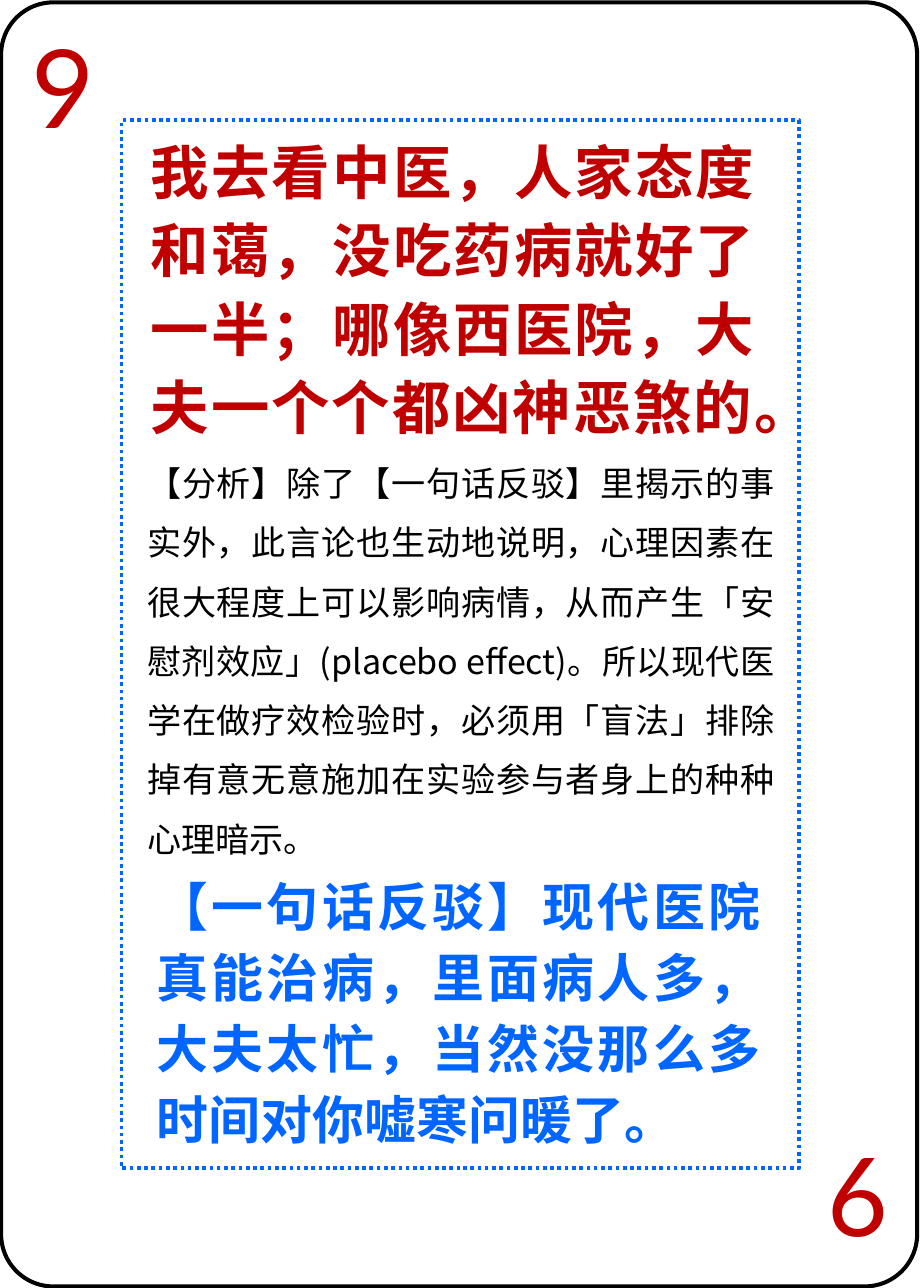
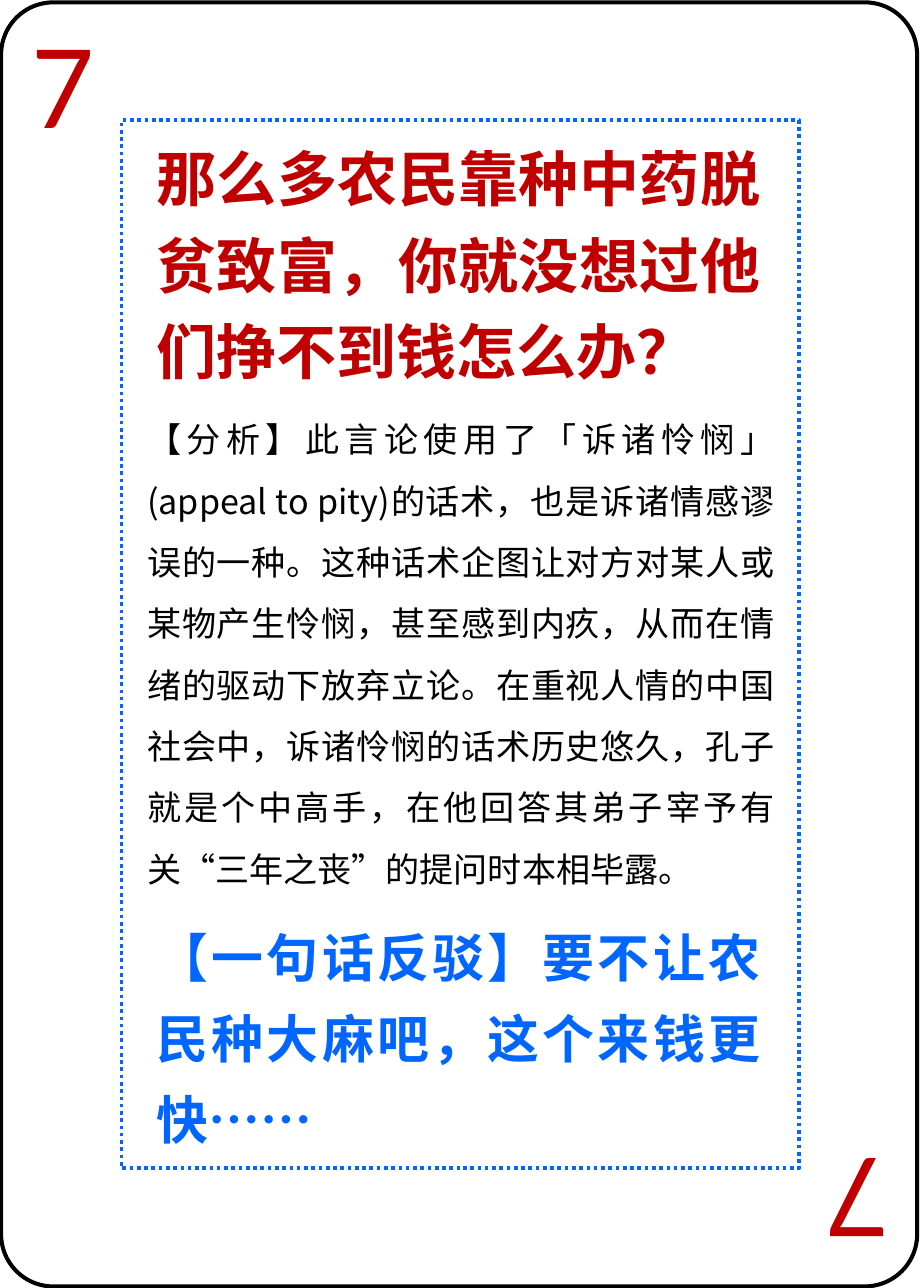
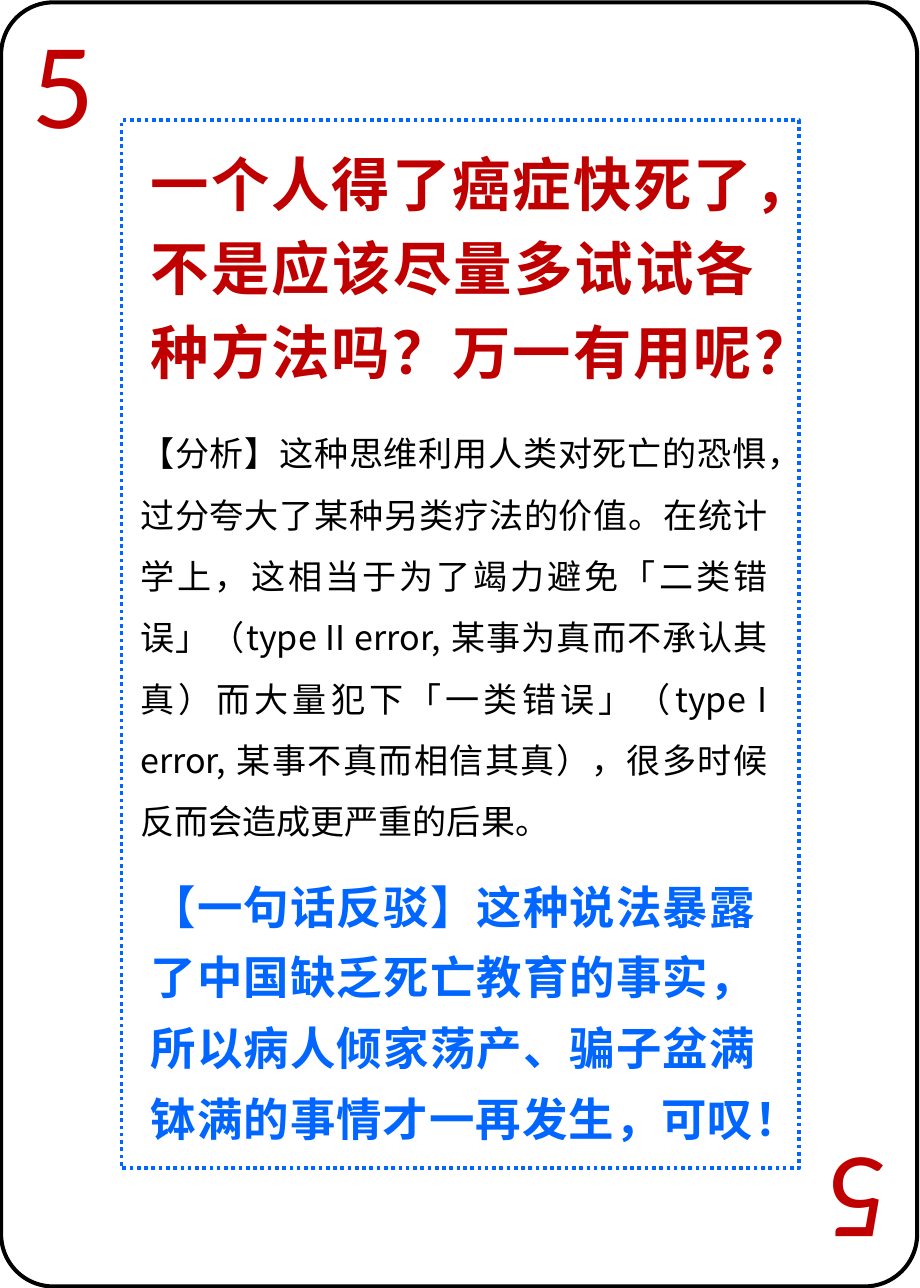
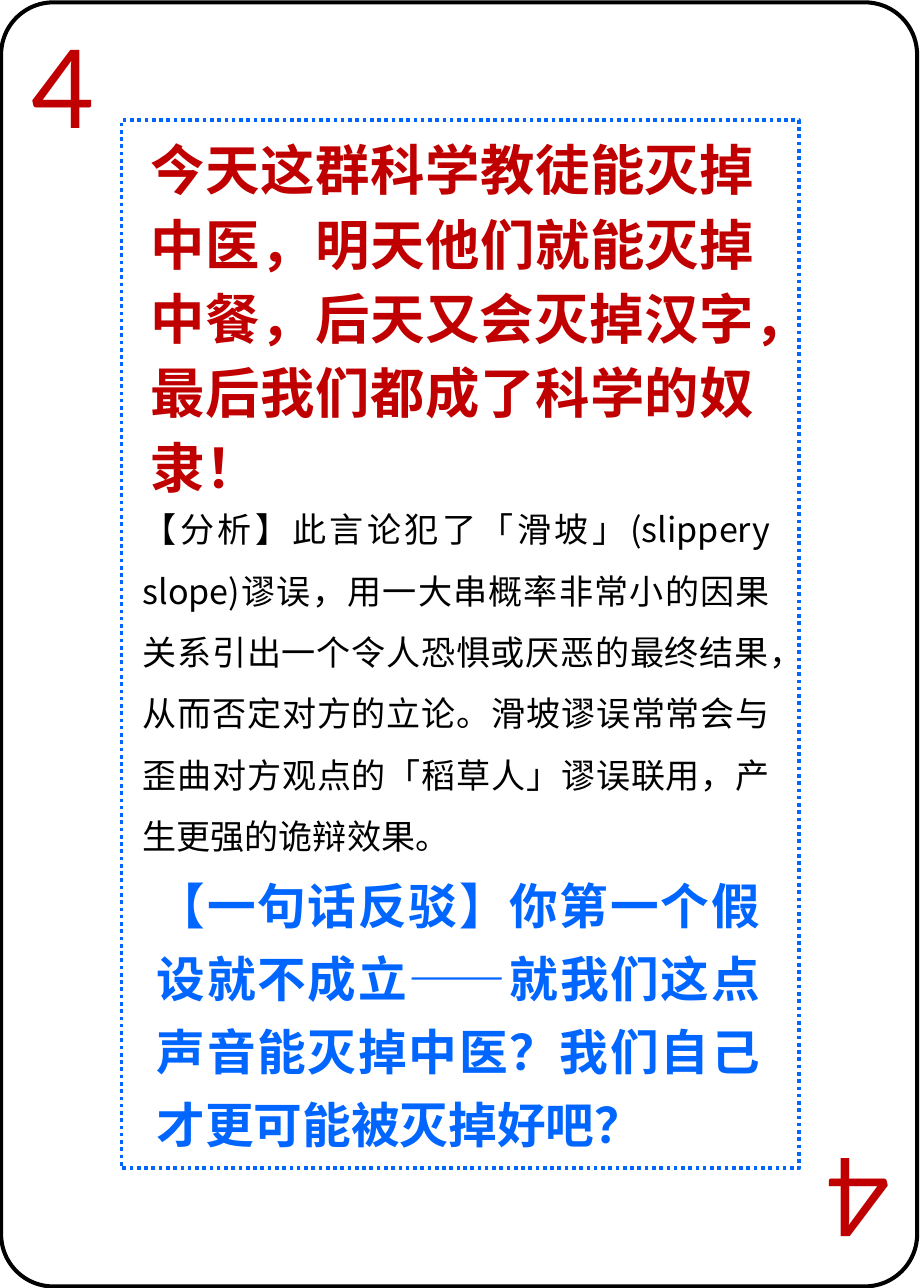
"""Build four debate playing cards, each with a claim, an analysis and a rebuttal."""

from dataclasses import dataclass

from lxml.etree import SubElement
from pptx import Presentation
from pptx.dml.color import RGBColor
from pptx.enum.dml import MSO_LINE
from pptx.enum.lang import MSO_LANGUAGE_ID
from pptx.enum.shapes import MSO_SHAPE
from pptx.enum.text import MSO_ANCHOR, MSO_AUTO_SIZE, PP_ALIGN
from pptx.oxml.ns import qn
from pptx.util import Pt

RED = RGBColor(0xC0, 0x00, 0x00)
BLUE = RGBColor(0x00, 0x66, 0xFF)
BLACK = RGBColor(0x00, 0x00, 0x00)

CHINESE_FONT = "Noto Sans CJK SC"
DIGIT_FONT = "Lato"
DIGIT_SIZE = 67.2
BODY_SIZE = 21
HEADING_WIDTH = 386.64
ANALYSIS_WIDTH = 401.04
SLIDE_WIDTH, SLIDE_HEIGHT = 566.93, 793.7
TWO_CONTENT_LAYOUT = 3


@dataclass(frozen=True)
class Box:
    """Position and size in points."""

    left: float
    top: float
    width: float
    height: float


@dataclass(frozen=True)
class Passage:
    """A justified text with its place, size and line spacing."""

    text: str
    left: float
    top: float
    height: float
    size: float
    spacing: float


@dataclass(frozen=True)
class Card:
    """The contents of one playing card."""

    digit: str
    claim: Passage
    analysis: Passage
    rebuttal: Passage


CARD_EDGE = Box(0.72, 1.44, 564.48, 791.28)
TEXT_FRAME = Box(74.88, 74.16, 417.6, 645.84)
TOP_DIGIT = Box(12.24, 8.64, 54.72, 88.56)
BOTTOM_DIGIT = Box(500.4, 696.24, 54.72, 88.56)

CARDS = [
    Card(
        "9",
        Passage(
            "我去看中医，人家态度和蔼，没吃药病就好了一半；哪像西医院，大夫一个个都凶神恶煞的。",
            85.68, 74.88, 202.32, 36, 1.12,
        ),
        Passage(
            "【分析】除了【一句话反驳】里揭示的事实外，此言论也生动地说明，心理因素在很大程度上"
            "可以影响病情，从而产生「安慰剂效应」(placebo effect)。所以现代医学在做疗效检验时，"
            "必须用「盲法」排除掉有意无意施加在实验参与者身上的种种心理暗示。",
            83.52, 270, 261.36, BODY_SIZE, 1.45,
        ),
        Passage(
            "【一句话反驳】现代医院真能治病，里面病人多，大夫太忙，当然没那么多时间对你嘘寒问暖了。",
            89.28, 529.92, 180.72, 32, 1.14,
        ),
    ),
    Card(
        "7",
        Passage(
            "那么多农民靠种中药脱贫致富，你就没想过他们挣不到钱怎么办？",
            89.28, 74.88, 164.16, 37, 1.2,
        ),
        Passage(
            "【分析】此言论使用了「诉诸怜悯」(appeal to pity)的话术，也是诉诸情感谬误的一种。"
            "这种话术企图让对方对某人或某物产生怜悯，甚至感到内疚，从而在情绪的驱动下放弃立论。"
            "在重视人情的中国社会中，诉诸怜悯的话术历史悠久，孔子就是个中高手，"
            "在他回答其弟子宰予有关“三年之丧”的提问时本相毕露。",
            83.52, 241.92, 308.16, BODY_SIZE, 1.5,
        ),
        Passage(
            "【一句话反驳】要不让农民种大麻吧，这个来钱更快……",
            89.28, 555.12, 153.36, 32, 1.3,
        ),
    ),
    Card(
        "5",
        Passage(
            "一个人得了癌症快死了，不是应该尽量多试试各种方法吗？万一有用呢？",
            85.68, 79.2, 159.84, 36, 1.2,
        ),
        Passage(
            "【分析】这种思维利用人类对死亡的恐惧，过分夸大了某种另类疗法的价值。在统计学上，"
            "这相当于为了竭力避免「二类错误」（type II error, 某事为真而不承认其真）"
            "而大量犯下「一类错误」（type I error, 某事不真而相信其真），"
            "很多时候反而会造成更严重的后果。",
            79.2, 250.56, 270, BODY_SIZE, 1.5,
        ),
        Passage(
            "【一句话反驳】这种说法暴露了中国缺乏死亡教育的事实，所以病人倾家荡产、"
            "骗子盆满钵满的事情才一再发生，可叹！",
            85.68, 527.76, 179.28, 28, 1.3,
        ),
    ),
    Card(
        "4",
        Passage(
            "今天这群科学教徒能灭掉中医，明天他们就能灭掉中餐，后天又会灭掉汉字，"
            "最后我们都成了科学的奴隶！",
            85.68, 74.88, 238.32, 33.5, 1.14,
        ),
        Passage(
            "【分析】此言论犯了「滑坡」(slippery slope)谬误，用一大串概率非常小的因果关系"
            "引出一个令人恐惧或厌恶的最终结果，从而否定对方的立论。"
            "滑坡谬误常常会与歪曲对方观点的「稻草人」谬误联用，产生更强的诡辩效果。",
            80.64, 297.36, 231.84, BODY_SIZE, 1.5,
        ),
        Passage(
            "【一句话反驳】你第一个假设就不成立——就我们这点声音能灭掉中医？"
            "我们自己才更可能被灭掉好吧？",
            89.28, 527.04, 191.52, 30, 1.25,
        ),
    ),
]


def bounds(box: Box) -> tuple:
    """Return the four lengths of a box."""
    return Pt(box.left), Pt(box.top), Pt(box.width), Pt(box.height)


def fill_passage(shape, passage: Passage, width: float, color: RGBColor, bold: bool) -> None:
    """Move a placeholder and give it a justified passage without bullets."""
    box = Box(passage.left, passage.top, width, passage.height)
    shape.left, shape.top, shape.width, shape.height = bounds(box)
    text_frame = shape.text_frame
    text_frame.text = passage.text
    text_frame.word_wrap = True
    text_frame.auto_size = MSO_AUTO_SIZE.SHAPE_TO_FIT_TEXT
    text_frame.vertical_anchor = MSO_ANCHOR.TOP
    paragraph = text_frame.paragraphs[0]
    paragraph.alignment = PP_ALIGN.JUSTIFY
    paragraph.line_spacing = passage.spacing
    paragraph.space_before = Pt(0)
    properties = paragraph._p.get_or_add_pPr()
    properties.set("marL", "0")
    properties.set("indent", "0")
    SubElement(properties, qn("a:buNone"))
    run = paragraph.runs[0]
    run.font.size = Pt(passage.size)
    run.font.bold = bold
    run.font.color.rgb = color
    run.font.name = CHINESE_FONT
    run.font.language_id = MSO_LANGUAGE_ID.SIMPLIFIED_CHINESE
    SubElement(run._r.get_or_add_rPr(), qn("a:ea"), typeface=CHINESE_FONT)


def add_digit(slide, digit: str, box: Box, rotation: float) -> None:
    """Add a corner digit, upright or upside down."""
    shape = slide.shapes.add_textbox(*bounds(box))
    shape.rotation = rotation
    text_frame = shape.text_frame
    text_frame.text = digit
    text_frame.word_wrap = True
    text_frame.auto_size = MSO_AUTO_SIZE.SHAPE_TO_FIT_TEXT
    font = text_frame.paragraphs[0].runs[0].font
    font.size = Pt(DIGIT_SIZE)
    font.name = DIGIT_FONT
    font.color.rgb = RED


def add_outline(slide, kind: MSO_SHAPE, box: Box, color: RGBColor, weight: float):
    """Add an unfilled outline shape and return it."""
    shape = slide.shapes.add_shape(kind, *bounds(box))
    shape.shadow.inherit = False
    shape.fill.background()
    shape.line.color.rgb = color
    shape.line.width = Pt(weight)
    return shape


def add_card(presentation, card: Card) -> None:
    """Add one slide holding a card."""
    slide = presentation.slides.add_slide(presentation.slide_layouts[TWO_CONTENT_LAYOUT])
    claim, analysis, rebuttal = slide.placeholders
    fill_passage(claim, card.claim, HEADING_WIDTH, RED, True)
    fill_passage(analysis, card.analysis, ANALYSIS_WIDTH, BLACK, False)
    fill_passage(rebuttal, card.rebuttal, HEADING_WIDTH, BLUE, True)
    add_digit(slide, card.digit, TOP_DIGIT, 0)
    add_digit(slide, card.digit, BOTTOM_DIGIT, 180)
    frame = add_outline(slide, MSO_SHAPE.RECTANGLE, TEXT_FRAME, BLUE, 2.25)
    frame.line.dash_style = MSO_LINE.ROUND_DOT
    edge = add_outline(slide, MSO_SHAPE.ROUNDED_RECTANGLE, CARD_EDGE, BLACK, 2.5)
    edge.adjustments[0] = 0.057


def main() -> None:
    """Build the cards and save them."""
    presentation = Presentation()
    presentation.slide_width = Pt(SLIDE_WIDTH)
    presentation.slide_height = Pt(SLIDE_HEIGHT)
    for card in CARDS:
        add_card(presentation, card)
    presentation.save("out.pptx")


if __name__ == "__main__":
    main()
